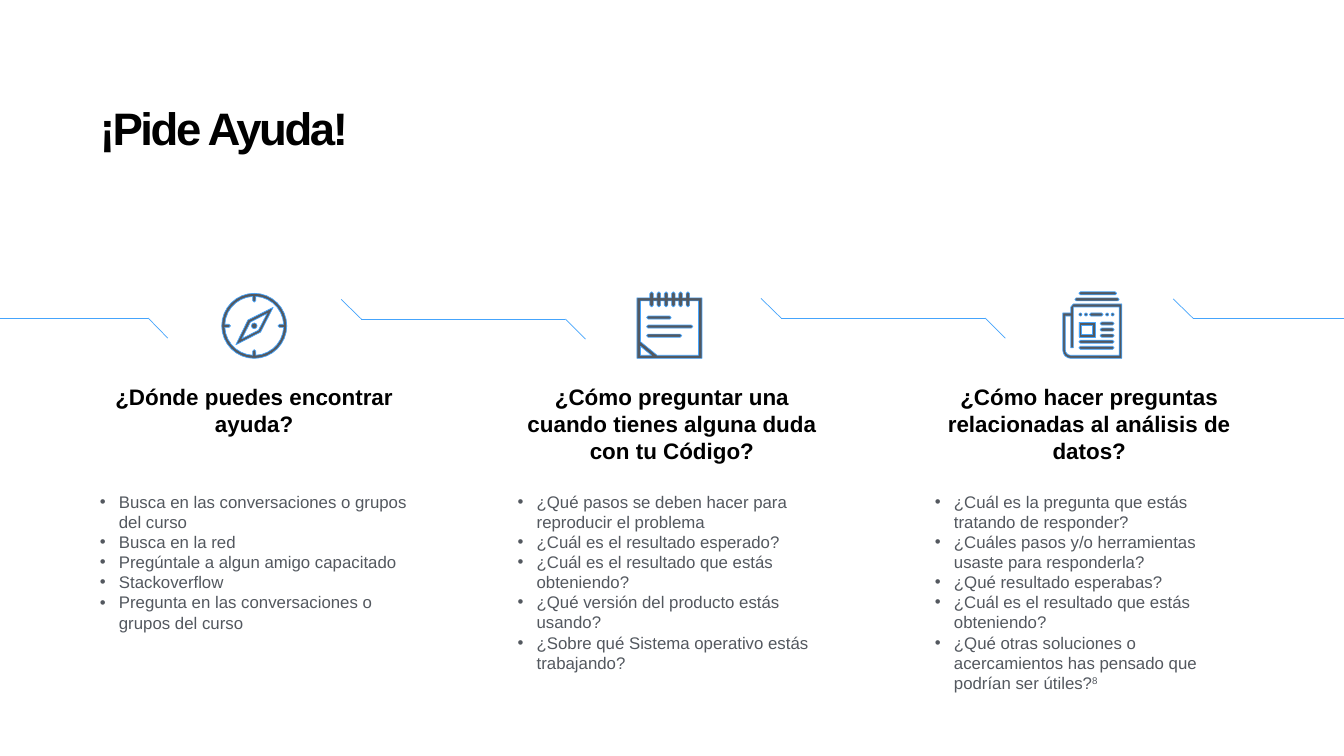
from itertools import pairwise
from math import cos, radians, sin

from lxml import etree
from pptx import Presentation
from pptx.dml.color import RGBColor
from pptx.enum import shapes, text
from pptx.oxml import ns
from pptx.util import Inches, Pt

BLACK = RGBColor(0x00, 0x00, 0x00)
GRAY = RGBColor(0x53, 0x58, 0x5F)
BLUE = RGBColor(0x45, 0xA4, 0xFC)

TITLE = {"name": "Arial", "size": Pt(112), "bold": True}
HEADING = {"name": "Arial", "size": Pt(32), "bold": True}
BULLET = {"name": "Arial", "size": Pt(24), "bold": False}

TRACKS = [
    [(0, 6.31), (2.94, 6.31), (3.33, 6.71)],
    [(6.77, 5.94), (7.17, 6.33), (11.22, 6.33), (11.62, 6.73)],
    [(15.1, 5.92), (15.5, 6.31), (19.55, 6.31), (19.95, 6.71)],
    [(23.28, 5.93), (23.68, 6.32), (26.67, 6.32)],
]

COLUMNS = [
    ("¿Dónde puedes encontrar ayuda?", 77.2, [
        "Busca en las conversaciones o grupos del curso",
        "Busca en la red",
        "Pregúntale a algun amigo capacitado",
        "Stackoverflow",
        "Pregunta en las conversaciones o grupos del curso",
    ], ""),
    ("¿Cómo preguntar una cuando tienes alguna duda con tu Código?", 38.6, [
        "¿Qué pasos se deben hacer para reproducir el problema",
        "¿Cuál es el resultado esperado?",
        "¿Cuál es el resultado que estás obteniendo?",
        "¿Qué versión del producto estás usando?",
        "¿Sobre qué Sistema operativo estás trabajando?",
    ], ""),
    ("¿Cómo hacer preguntas relacionadas al análisis de datos?", 38.6, [
        "¿Cuál es la pregunta que estás tratando de responder?",
        "¿Cuáles pasos y/o herramientas usaste para responderla?",
        "¿Qué resultado esperabas?",
        "¿Cuál es el resultado que estás obteniendo?",
        "¿Qué otras soluciones o acercamientos has pensado que podrían ser útiles?",
    ], "8"),
]


def arc(cx, cy, radius, start, end, steps=2):
    angles = [radians(start + (end - start) * i / steps) for i in range(steps + 1)]
    return [(cx + radius * cos(a), cy + radius * sin(a)) for a in angles]


def circle(cx, cy, radius, steps=8):
    return arc(cx, cy, radius, 0, 360, steps)[:-1]


def bar(x0, x1, y):
    return arc(x0, y, 0.03, 90, 270) + arc(x1, y, 0.03, -90, 90)


def rect(x0, y0, x1, y1):
    return [(x0, y0), (x1, y0), (x1, y1), (x0, y1)]


def compass():
    c = 0.645
    dial = []
    for start in range(0, 360, 90):
        a = radians(start + 90)
        dial += arc(c, c, 0.585, start + 3, start + 87, 7)
        dial += arc(c + 0.5 * cos(a), c + 0.5 * sin(a), 0.03, start + 360, start + 180)
    needle = [(0.28, 1.02), (0.77, 0.77), (1.02, 0.28), (0.52, 0.53)]
    window = [(0.4, 0.9), (0.73, 0.73), (0.9, 0.4), (0.57, 0.57)]
    return [circle(c, c, 0.645, 32), dial, needle, window, circle(c, c, 0.057)]


def notepad():
    rings = [0.29 + 0.144 * i for i in range(6)]
    outer, inner = [(0, 0.12)], [(0.07, 0.18)]
    for x in rings:
        outer += [(x - 0.035, 0.12), *arc(x, 0.035, 0.035, 180, 360), (x + 0.035, 0.12)]
        inner += [(x - 0.035, 0.18), *arc(x, 0.265, 0.035, 180, 0), (x + 0.035, 0.18)]
    outer += [(1.29, 0.12), (1.29, 1.32), (0, 1.32)]
    inner += [(1.22, 0.18), (1.22, 1.26), (0.4, 1.26), (0.07, 0.99)]
    fold = [(0.07, 1.26), (0.07, 1.08), (0.29, 1.26)]
    return [outer, inner, fold, bar(0.22, 0.65, 0.51), bar(0.22, 1.08, 0.69), bar(0.22, 0.86, 0.87)]


def newspaper():
    outer = [(0.21, 0.24), (1.17, 0.24), (1.17, 1.32), *arc(0.16, 1.16, 0.16, 90, 180, 4),
             (0, 0.42), (0.16, 0.42), (0.16, 0.3)]
    inner = [(0.21, 0.3), (1.12, 0.3), (1.12, 1.26), *arc(0.16, 1.15, 0.11, 90, 180, 4),
             (0.05, 0.48), (0.16, 0.48), (0.16, 1.11), (0.21, 1.11)]
    dots = [circle(x, 0.45, 0.03) for x in (0.35, 0.46, 0.88, 0.99)]
    long_bars = [bar(0.35, 0.99, y) for y in (0.99, 1.11)]
    short_bars = [bar(0.77, 0.99, y) for y in (0.63, 0.75, 0.87)]
    return [outer, inner, rect(0.32, 0.6, 0.64, 0.9), rect(0.37, 0.66, 0.59, 0.84),
            bar(0.35, 1.04, 0.03), bar(0.27, 1.09, 0.15), bar(0.56, 0.77, 0.45),
            *dots, *long_bars, *short_bars]


def add_icon(s, contours, left, top):
    paths = [[(Inches(left + x), Inches(top + y)) for x, y in c] for c in contours]
    builder = s.shapes.build_freeform(*paths[0][0])
    builder.add_line_segments(paths[0][1:])
    for points in paths[1:]:
        builder.move_to(*points[0])
        builder.add_line_segments(points[1:])
    sp = builder.convert_to_shape()
    sp.shadow.inherit = False
    sp.fill.solid()
    sp.fill.fore_color.rgb = GRAY
    sp.line.color.rgb = BLUE
    sp.line.width = Pt(1)


def add_track(s, points):
    for start, end in pairwise(points):
        line = s.shapes.add_connector(shapes.MSO_CONNECTOR.STRAIGHT, *map(Inches, start + end))
        line.line.color.rgb = BLUE
        line.line.width = Pt(1)
        etree.SubElement(line._element.spPr, ns.qn("a:effectLst"))


def add_text_box(s, left, top, width, height):
    tf = s.shapes.add_textbox(*map(Inches, (left, top, width, height))).text_frame
    tf.word_wrap = True
    tf.vertical_anchor = text.MSO_ANCHOR.TOP
    for side in ("left", "top", "right", "bottom"):
        setattr(tf, f"margin_{side}", Inches(0.06))
    return tf


def add_run(p, words, style, color, **extra):
    r = p.add_run()
    r.text = words
    for key, value in style.items():
        setattr(r.font, key, value)
    r.font.color.rgb = color
    for key, value in extra.items():
        r._r.get_or_add_rPr().set(key, value)


def add_title(s, left, top, width, height):
    p = add_text_box(s, left, top, width, height).paragraphs[0]
    p.line_spacing = 0.7
    add_run(p, "¡Pide Ayuda!", TITLE, BLACK, baseline="9000", spc="-340")


def add_column(s, left, top, heading, gap, bullets, note):
    tf = add_text_box(s, left, top, 6.25, 6.28)
    p = tf.paragraphs[0]
    p.alignment = text.PP_ALIGN.CENTER
    add_run(p, heading, HEADING, BLACK)
    for i, words in enumerate(bullets):
        p = tf.add_paragraph()
        p.space_before = Pt(0 if i else gap)
        pPr = p._p.get_or_add_pPr()
        pPr.set("marL", str(Inches(0.38)))
        pPr.set("indent", str(-Inches(0.38)))
        etree.SubElement(pPr, ns.qn("a:buFont"), typeface="Arial")
        etree.SubElement(pPr, ns.qn("a:buChar"), char="•")
        add_run(p, words, BULLET, GRAY)
    if note:
        add_run(p, note, BULLET, GRAY, baseline="30000")


def main():
    prs = Presentation()
    prs.slide_width, prs.slide_height = Inches(26.67), Inches(15)
    s = prs.slides.add_slide(prs.slide_layouts[6])
    for points in TRACKS:
        add_track(s, points)
    add_icon(s, compass(), 4.4, 5.82)
    add_icon(s, notepad(), 12.64, 5.79)
    add_icon(s, newspaper(), 21.09, 5.79)
    add_title(s, 1.92, 1.92, 9.72, 4.87)
    for left, column in zip((1.92, 10.21, 18.49), COLUMNS):
        add_column(s, left, 7.55, *column)
    prs.save("out.pptx")


if __name__ == "__main__":
    main()
